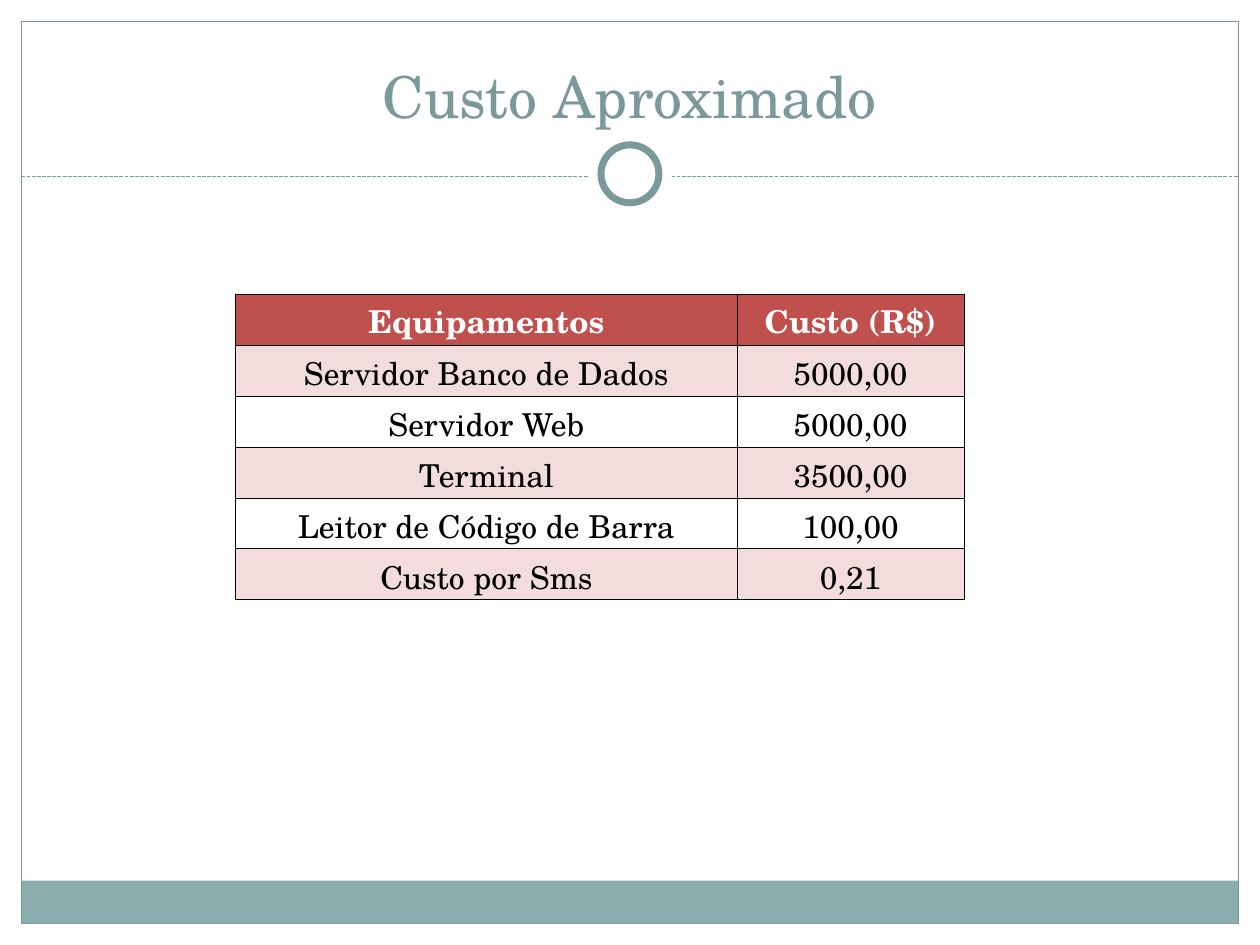
from dataclasses import dataclass

from lxml.etree import SubElement
from pptx import Presentation
from pptx.dml.color import RGBColor
from pptx.enum.dml import MSO_LINE
from pptx.enum.shapes import MSO_CONNECTOR, MSO_SHAPE
from pptx.enum.text import MSO_ANCHOR, MSO_AUTO_SIZE, PP_ALIGN
from pptx.oxml.ns import qn
from pptx.util import Inches, Pt

TITLE = "Custo Aproximado"
COSTS = [
    ("Equipamentos", "Custo (R$)"),
    ("Servidor Banco de Dados", "5000,00"),
    ("Servidor Web", "5000,00"),
    ("Terminal", "3500,00"),
    ("Leitor de Código de Barra", "100,00"),
    ("Custo por Sms", "0,21"),
]
COLUMN_WIDTHS = (3.98, 1.8)
TABLE_LEFT, TABLE_TOP, TABLE_HEIGHT = 1.87, 2.34, 2.42
SLIDE_WIDTH, SLIDE_HEIGHT = 10, 7.5
MARGIN = 0.17
RULE_TOP = 1.4
RING_MIDDLE = 1.38
BAND_HEIGHT = 0.34


@dataclass(frozen=True)
class Theme:
    font: str = "TeX Gyre Schola"
    accent: str = "7C999A"
    band: str = "8CADAE"
    header: str = "C0504D"
    stripe: str = "F2DDDC"
    white: str = "FFFFFF"
    black: str = "000000"
    title_size: float = 33
    table_size: float = 18
    thin: float = 0.75
    ring: float = 4
    border: float = 0.5


THEME = Theme()


def color(value):
    return RGBColor.from_string(value)


def write(frame, text, *, size, ink, bold=False):
    """Put one centred, bottom-anchored line of text in a frame."""
    para = frame.paragraphs[0]
    para.alignment = PP_ALIGN.CENTER
    span = para.add_run()
    span.text = text
    span.font.name = THEME.font
    span.font.size = Pt(size)
    span.font.bold = bold
    span.font.color.rgb = color(ink)


def add_shape(page, kind, left, top, width, height, *, fill=None, line=None, weight=THEME.thin):
    shape = page.shapes.add_shape(kind, *map(Inches, (left, top, width, height)))
    shape.shadow.inherit = False
    if fill:
        shape.fill.solid()
        shape.fill.fore_color.rgb = color(fill)
    else:
        shape.fill.background()
    if line:
        shape.line.color.rgb = color(line)
        shape.line.width = Pt(weight)
    else:
        shape.line.fill.background()


def add_circle(page, diameter, **style):
    """Add a circle centred on the ring's place in the dashed rule."""
    add_shape(page, MSO_SHAPE.OVAL, (SLIDE_WIDTH - diameter) / 2,
              RING_MIDDLE - diameter / 2, diameter, diameter, **style)


def add_decoration(page):
    inner_width = SLIDE_WIDTH - 2 * MARGIN
    bottom = SLIDE_HEIGHT - MARGIN
    add_shape(page, MSO_SHAPE.RECTANGLE, MARGIN, bottom - BAND_HEIGHT,
              inner_width, BAND_HEIGHT, fill=THEME.band)
    add_shape(page, MSO_SHAPE.RECTANGLE, MARGIN, MARGIN,
              inner_width, bottom - MARGIN, line=THEME.accent)
    rule = page.shapes.add_connector(
        MSO_CONNECTOR.STRAIGHT, Inches(MARGIN), Inches(RULE_TOP),
        Inches(SLIDE_WIDTH - MARGIN), Inches(RULE_TOP))
    rule.line.color.rgb = color(THEME.accent)
    rule.line.width = Pt(THEME.thin)
    rule.line.dash_style = MSO_LINE.SQUARE_DOT
    SubElement(rule.element.spPr, qn("a:effectLst"))
    add_circle(page, 0.67, fill=THEME.white)
    add_circle(page, 0.46, fill=THEME.white, line=THEME.accent, weight=THEME.ring)


def add_title(page):
    title = page.shapes.title
    title.left, title.top, title.width, title.height = map(Inches, (0.33, 0.25, 9.33, 0.83))
    frame = title.text_frame
    frame.auto_size = MSO_AUTO_SIZE.NONE
    frame.vertical_anchor = MSO_ANCHOR.BOTTOM
    write(frame, TITLE, size=THEME.title_size, ink=THEME.accent)


def add_borders(cell):
    properties = cell._tc.get_or_add_tcPr()
    for side in ("a:lnL", "a:lnR", "a:lnT", "a:lnB"):
        line = SubElement(properties, qn(side), w=str(Pt(THEME.border)))
        fill = SubElement(line, qn("a:solidFill"))
        SubElement(fill, qn("a:srgbClr"), val=THEME.black)


def format_cell(cell, text, row):
    header = row == 0
    cell.vertical_anchor = MSO_ANCHOR.BOTTOM
    cell.margin_left = cell.margin_right = cell.margin_top = Inches(0.01)
    cell.margin_bottom = 0
    add_borders(cell)
    if header or row % 2:
        cell.fill.solid()
        cell.fill.fore_color.rgb = color(THEME.header if header else THEME.stripe)
    else:
        cell.fill.background()
    write(cell.text_frame, text, size=THEME.table_size, bold=header,
          ink=THEME.white if header else THEME.black)


def add_cost_table(page):
    table = page.shapes.add_table(
        len(COSTS), len(COLUMN_WIDTHS), Inches(TABLE_LEFT), Inches(TABLE_TOP),
        Inches(sum(COLUMN_WIDTHS)), Inches(TABLE_HEIGHT)).table
    for column, width in zip(table.columns, COLUMN_WIDTHS):
        column.width = Inches(width)
    for row, texts in enumerate(COSTS):
        for column, text in enumerate(texts):
            format_cell(table.cell(row, column), text, row)


def main():
    deck = Presentation()
    deck.slide_width, deck.slide_height = Inches(SLIDE_WIDTH), Inches(SLIDE_HEIGHT)
    page = deck.slides.add_slide(deck.slide_layouts[5])
    add_decoration(page)
    add_title(page)
    add_cost_table(page)
    deck.save("out.pptx")


if __name__ == "__main__":
    main()
